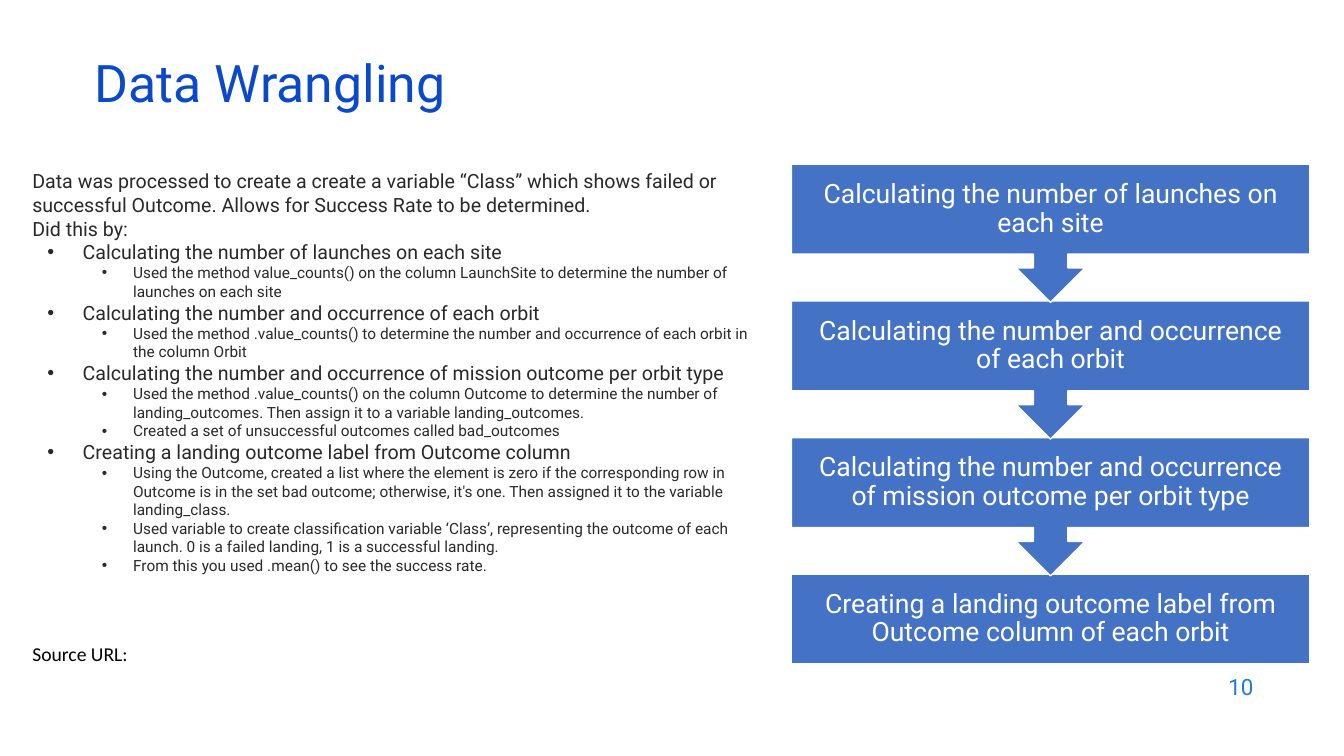
from lxml import etree
from pptx import Presentation
from pptx.dml.color import RGBColor
from pptx.enum import shapes, text
from pptx.oxml import ns
from pptx.util import Inches, Pt

COLOURS = {
    "title": "0B49CB",
    "body": "292929",
    "link": "000000",
    "number": "1C7DDB",
    "step": "4472C4",
    "white": "FFFFFF",
}
LEVEL_SIZES = [14, 14, 11]
LEVEL_MARGINS = [0, 0.5, 1]
LEVEL_INDENTS = [0, -0.35, -0.31]
NOTES = [
    (0, "Data was processed to create a create a variable “Class” which shows failed or "
        "successful Outcome. Allows for Success Rate to be determined."),
    (0, "Did this by:"),
    (1, "Calculating the number of launches on each site"),
    (2, "Used the method value_counts() on the column LaunchSite to determine the number of "
        "launches on each site"),
    (1, "Calculating the number and occurrence of each orbit"),
    (2, "Used the method .value_counts() to determine the number and occurrence of each orbit "
        "in the column Orbit"),
    (1, "Calculating the number and occurrence of mission outcome per orbit type"),
    (2, "Used the method .value_counts() on the column Outcome to determine the number of "
        "landing_outcomes. Then assign it to a variable landing_outcomes."),
    (2, "Created a set of unsuccessful outcomes called bad_outcomes"),
    (1, "Creating a landing outcome label from Outcome column"),
    (2, "Using the Outcome, created a list where the element is zero if the corresponding row "
        "in Outcome is in the set bad outcome; otherwise, it's one. Then assigned it to the "
        "variable landing_class."),
    (2, "Used variable to create classification variable ‘Class’, representing the outcome of "
        "each launch. 0 is a failed landing, 1 is a successful landing."),
    (2, "From this you used .mean() to see the success rate."),
]
STEPS = [
    "Calculating the number of launches on each site",
    "Calculating the number and occurrence of each orbit",
    "Calculating the number and occurrence of mission outcome per orbit type",
    "Creating a landing outcome label from Outcome column of each orbit",
]
FIRST_STEP_TOP, LAST_STEP_TOP = 1.63, 5.7
STEP_PITCH = (LAST_STEP_TOP - FIRST_STEP_TOP) / (len(STEPS) - 1)
BOX_HEIGHT, CALLOUT_HEIGHT = 0.88, 1.37


def colour(name):
    return RGBColor.from_string(COLOURS[name])


def place(box, left, top, width, height):
    box.left, box.top = Inches(left), Inches(top)
    box.width, box.height = Inches(width), Inches(height)


def add_span(para, words, size, colour_name, font="Roboto"):
    span = para.add_run()
    span.text = words
    span.font.size = Pt(size)
    span.font.name = font
    span.font.color.rgb = colour(colour_name)


def set_bullet(para, level):
    """Indent the paragraph for its level; level 0 has no bullet."""
    para.level = level
    props = para._p.get_or_add_pPr()
    props.set("marL", str(Inches(LEVEL_MARGINS[level])))
    props.set("indent", str(Inches(LEVEL_INDENTS[level])))
    if level:
        font = etree.SubElement(props, ns.qn("a:buFont"))
        font.set("typeface", "Arial")
        etree.SubElement(props, ns.qn("a:buChar")).set("char", "•")
    else:
        etree.SubElement(props, ns.qn("a:buNone"))


def add_title(page):
    title = page.shapes.title
    place(title, 0.84, 0.59, 11.5, 0.6)
    title.text_frame.auto_size = text.MSO_AUTO_SIZE.NONE
    title.text_frame.vertical_anchor = text.MSO_ANCHOR.MIDDLE
    para = title.text_frame.paragraphs[0]
    para.alignment = text.PP_ALIGN.LEFT
    para.line_spacing = 0.7
    add_span(para, "Data Wrangling", 37, "title")


def add_notes(page):
    body = page.placeholders[1]
    place(body, 0.22, 1.63, 7.47, 6.13)
    frame = body.text_frame
    frame.auto_size = text.MSO_AUTO_SIZE.NONE
    frame.vertical_anchor = text.MSO_ANCHOR.TOP
    for index, (level, words) in enumerate(NOTES):
        para = frame.add_paragraph() if index else frame.paragraphs[0]
        set_bullet(para, level)
        para.line_spacing = 1.0
        para.space_before = Pt(0)
        add_span(para, words, LEVEL_SIZES[level], "body")
    para = frame.add_paragraph()
    set_bullet(para, 0)
    para.space_before = Pt(48)
    add_span(para, "Source URL:", 14, "link", "Calibri")


def add_step(page, index, words):
    """Draw one step; every step but the last points down to the next."""
    is_last = index == len(STEPS) - 1
    kind = shapes.MSO_SHAPE.RECTANGLE if is_last else shapes.MSO_SHAPE.DOWN_ARROW_CALLOUT
    height = BOX_HEIGHT if is_last else CALLOUT_HEIGHT
    box = page.shapes.add_shape(kind, Inches(7.85), Inches(FIRST_STEP_TOP + index * STEP_PITCH),
                                Inches(5.14), Inches(height))
    box.shadow.inherit = False
    box.fill.solid()
    box.fill.fore_color.rgb = colour("step")
    box.line.color.rgb = colour("white")
    box.line.width = Pt(1)
    frame = box.text_frame
    frame.word_wrap = True
    frame.vertical_anchor = text.MSO_ANCHOR.MIDDLE
    frame.margin_left = frame.margin_right = Inches(0.15)
    frame.margin_top = frame.margin_bottom = Inches(0.15)
    para = frame.paragraphs[0]
    para.alignment = text.PP_ALIGN.CENTER
    para.line_spacing = 0.9
    add_span(para, words, 19, "white")


def add_page_number(page):
    box = page.shapes.add_textbox(Inches(9.53), Inches(6.59), Inches(3), Inches(0.44))
    box.text_frame.word_wrap = True
    box.text_frame.vertical_anchor = text.MSO_ANCHOR.MIDDLE
    para = box.text_frame.paragraphs[0]
    para.alignment = text.PP_ALIGN.RIGHT
    add_span(para, "10", 16, "number")


def main():
    deck = Presentation()
    deck.slide_width, deck.slide_height = Inches(13.33), Inches(7.5)
    page = deck.slides.add_slide(deck.slide_layouts[1])
    add_title(page)
    add_notes(page)
    add_page_number(page)
    # The upper steps lie over the lower ones, so the last is drawn first.
    for index, words in reversed(list(enumerate(STEPS))):
        add_step(page, index, words)
    deck.save("out.pptx")


if __name__ == "__main__":
    main()
